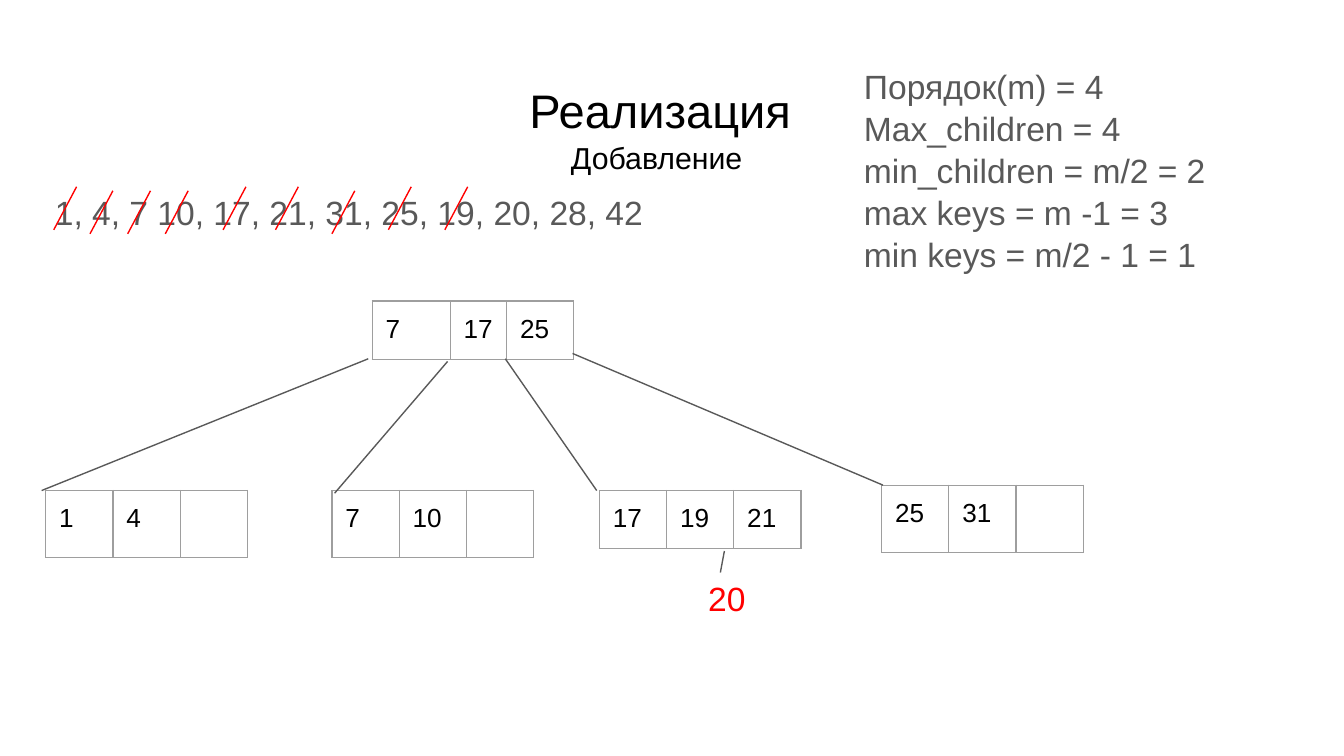
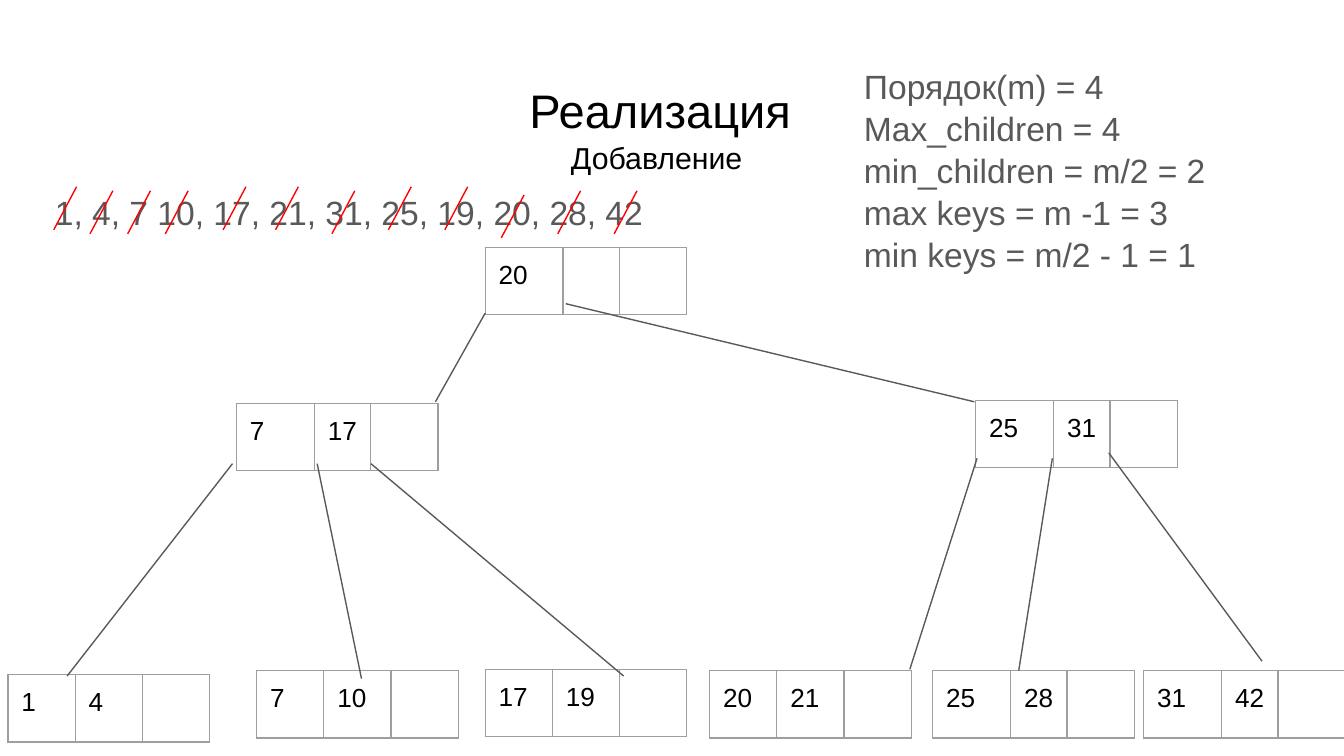
import itertools
from typing import Any, NamedTuple

import lxml.etree
import pptx
import pptx.dml.color
import pptx.enum.shapes
import pptx.enum.text
import pptx.oxml.ns
import pptx.util

SLIDE_WIDTH = pptx.util.Inches(10)
SLIDE_HEIGHT = pptx.util.Inches(5.625)
COLUMN = SLIDE_WIDTH / 100
ROW = SLIDE_HEIGHT / 56.25

BLACK = pptx.dml.color.RGBColor(0x00, 0x00, 0x00)
GREY = pptx.dml.color.RGBColor(0x59, 0x59, 0x59)
BORDER_GREY = pptx.dml.color.RGBColor(0x9E, 0x9E, 0x9E)
RED = pptx.dml.color.RGBColor(0xFF, 0x00, 0x00)

FONT = "Arial"
HAIRLINE = pptx.util.Pt(0.75)
MARGINS = {f"margin_{side}": pptx.util.Inches(0.1) for side in ("left", "top", "right", "bottom")}
FRAME_FORMAT = MARGINS | {"word_wrap": True, "vertical_anchor": pptx.enum.text.MSO_ANCHOR.TOP}
PLAIN_TABLE = {"first_row": False, "horz_banding": False}
EVEN_CELLS = (5, 5, 5)
UNEVEN_CELLS = (5.8, 4.2, 5)
NODE_HEIGHT = 4.2
STRIKE_WIDTH, STRIKE_HEIGHT = 1.7, 3.2


class Line(NamedTuple):
    text: str
    size: float = 18
    color: pptx.dml.color.RGBColor = GREY
    indent: float = 0
    spacing: float = 1.04


class TextBlock(NamedTuple):
    column: float
    row: float
    columns: float
    rows: float
    lines: tuple[Line, ...]


class Node(NamedTuple):
    column: float
    row: float
    keys: tuple[int, ...]
    cells: tuple[float, ...] = EVEN_CELLS


class Segment(NamedTuple):
    from_column: float
    from_row: float
    to_column: float
    to_row: float


class TreeStep(NamedTuple):
    struck_keys: int
    nodes: tuple[Node, ...]
    branches: tuple[Segment, ...]
    notes: tuple[TextBlock, ...] = ()


HEADING = TextBlock(3.4, 4.9, 93.2, 6.3, (
    Line("Реализация", 25.2, BLACK, 35),
    Line("Добавление", 16.2, BLACK, 38.1),
))
TREE_LIMITS = TextBlock(63.3, 3.8, 34.2, 17.2, tuple(Line(text) for text in (
    "Порядок(m) = 4",
    "Max_children = 4",
    "min_children = m/2 = 2",
    "max keys = m -1 = 3",
    "min keys = m/2 - 1 = 1",
)))
KEY_SEQUENCE = TextBlock(3.1, 13.2, 49.3, 5, (
    Line("1, 4, 7 10, 17, 21, 31, 25, 19, 20, 28, 42"),
))
STRIKE_COLUMNS = (4, 6.7, 9.5, 12.3, 16.6, *(20.5 + 4.2 * step for step in range(7)))
STRIKE_ROWS = (17.1, 17.4, 17.4, 17.4, 17.1, 17.1, 17.4, 17.1, 17.1, 17.7, 17.4, 17.4)

STEPS = (
    TreeStep(
        struck_keys=9,
        nodes=(
            Node(27.7, 22.4, (7, 17, 25), UNEVEN_CELLS),
            Node(3.4, 36.5, (1, 4)),
            Node(24.7, 36.5, (7, 10)),
            Node(44.6, 36.5, (17, 19, 21)),
            Node(65.6, 36.1, (25, 31)),
        ),
        branches=(
            Segment(27.4, 26.7, 3.1, 36.5),
            Segment(33.3, 26.9, 24.9, 36.7),
            Segment(37.6, 26.7, 44.4, 36.5),
            Segment(42.6, 26.3, 65.7, 36.1),
            Segment(53.6, 42.6, 53.9, 41),
        ),
        notes=(TextBlock(51.7, 41.9, 32.8, 5, (Line("20", color=RED),)),),
    ),
    TreeStep(
        struck_keys=12,
        nodes=(
            Node(36.1, 18.4, (20,), UNEVEN_CELLS),
            Node(17.6, 30, (7, 17), UNEVEN_CELLS),
            Node(72.6, 29.8, (25, 31), UNEVEN_CELLS),
            Node(0.6, 50.2, (1, 4)),
            Node(19.1, 49.9, (7, 10)),
            Node(36.1, 49.8, (17, 19)),
            Node(52.8, 49.9, (20, 21)),
            Node(69.4, 49.9, (25, 28), UNEVEN_CELLS),
            Node(85.1, 49.9, (31, 42), UNEVEN_CELLS),
        ),
        branches=(
            Segment(36.1, 23.3, 32.4, 29.9),
            Segment(42.1, 22.6, 72.5, 29.9),
            Segment(17.3, 34.5, 5, 50.3),
            Segment(23.6, 34.5, 26.9, 50.5),
            Segment(27.6, 34.5, 46.4, 50.3),
            Segment(72.7, 34.1, 67.7, 49.8),
            Segment(78.3, 34.1, 75.8, 49.9),
            Segment(82.5, 33.7, 93.9, 49.2),
        ),
    ),
)


def across(columns: float) -> int:
    return round(columns * COLUMN)


def down(rows: float) -> int:
    return round(rows * ROW)


def apply_format(target: Any, values: dict[str, Any]) -> None:
    for attribute, value in values.items():
        setattr(target, attribute, value)


def write_line(paragraph: Any, line: Line) -> None:
    run = paragraph.add_run()
    run.text = line.text
    paragraph.line_spacing = line.spacing
    if line.indent:
        properties = paragraph._p.get_or_add_pPr()
        properties.set("marL", str(across(line.indent)))
        properties.set("indent", "0")
    apply_format(run.font, {"name": FONT, "size": pptx.util.Pt(line.size)})
    run.font.color.rgb = line.color


def draw_text(slide: Any, block: TextBlock) -> None:
    box = slide.shapes.add_textbox(
        across(block.column), down(block.row), across(block.columns), down(block.rows))
    frame = box.text_frame
    apply_format(frame, FRAME_FORMAT)
    for index, line in enumerate(block.lines):
        write_line(frame.add_paragraph() if index else frame.paragraphs[0], line)


def draw_segment(slide: Any, segment: Segment, color: pptx.dml.color.RGBColor) -> None:
    connector = slide.shapes.add_connector(
        pptx.enum.shapes.MSO_CONNECTOR.STRAIGHT,
        across(segment.from_column), down(segment.from_row),
        across(segment.to_column), down(segment.to_row))
    connector.line.width = HAIRLINE
    connector.line.color.rgb = color
    lxml.etree.SubElement(connector._element.spPr, pptx.oxml.ns.qn("a:effectLst"))


def outline_cell(cell: Any) -> None:
    properties = cell._tc.get_or_add_tcPr()
    for side in "LRTB":
        border = lxml.etree.SubElement(
            properties, pptx.oxml.ns.qn(f"a:ln{side}"), w=str(HAIRLINE))
        fill = lxml.etree.SubElement(border, pptx.oxml.ns.qn("a:solidFill"))
        lxml.etree.SubElement(fill, pptx.oxml.ns.qn("a:srgbClr"), val=str(BORDER_GREY))


def draw_node(slide: Any, node: Node) -> None:
    table = slide.shapes.add_table(
        1, len(node.cells), across(node.column), down(node.row),
        across(sum(node.cells)), down(NODE_HEIGHT)).table
    apply_format(table, PLAIN_TABLE)
    for index, (width, key) in enumerate(itertools.zip_longest(node.cells, node.keys)):
        table.columns[index].width = across(width)
        cell = table.cell(0, index)
        apply_format(cell, MARGINS)
        outline_cell(cell)
        cell.fill.background()
        if key is not None:
            write_line(cell.text_frame.paragraphs[0], Line(str(key), 14, BLACK, spacing=1.0))


def draw_step(slide: Any, step: TreeStep) -> None:
    for block in (HEADING, TREE_LIMITS, KEY_SEQUENCE, *step.notes):
        draw_text(slide, block)
    for node in step.nodes:
        draw_node(slide, node)
    for branch in step.branches:
        draw_segment(slide, branch, GREY)
    for column, row in itertools.islice(zip(STRIKE_COLUMNS, STRIKE_ROWS), step.struck_keys):
        strike = Segment(column, row, column + STRIKE_WIDTH, row - STRIKE_HEIGHT)
        draw_segment(slide, strike, RED)


def main() -> None:
    deck = pptx.Presentation()
    apply_format(deck, {"slide_width": SLIDE_WIDTH, "slide_height": SLIDE_HEIGHT})
    for step in STEPS:
        draw_step(deck.slides.add_slide(deck.slide_layouts[6]), step)
    deck.save("out.pptx")


if __name__ == "__main__":
    main()
